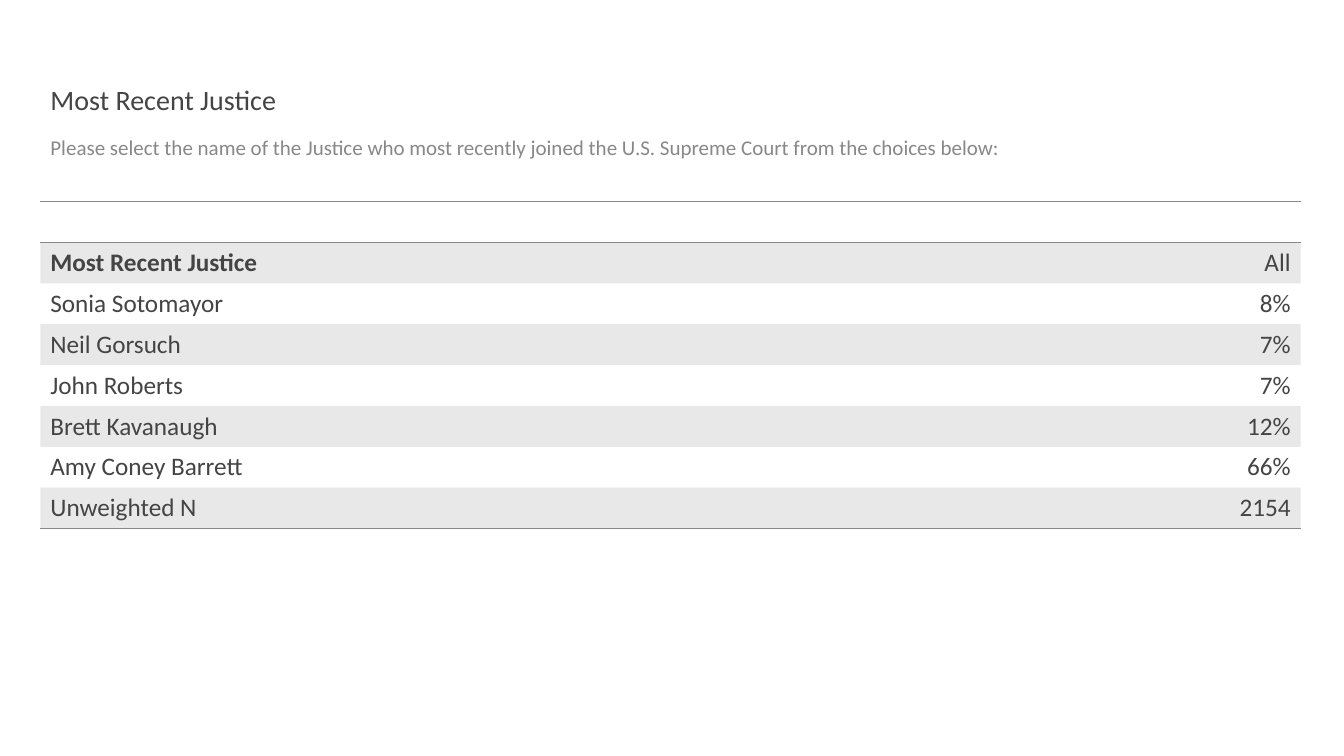
from lxml import etree
from pptx import Presentation
from pptx.dml.color import RGBColor
from pptx.enum.text import MSO_ANCHOR, MSO_AUTO_SIZE, PP_ALIGN
from pptx.oxml.ns import qn
from pptx.util import Inches, Pt

LEFT, RIGHT = PP_ALIGN.LEFT, PP_ALIGN.RIGHT
TOP, MID, LOW = MSO_ANCHOR.TOP, MSO_ANCHOR.MIDDLE, MSO_ANCHOR.BOTTOM
FIXED = MSO_AUTO_SIZE.NONE
DARK, GREY = "444444", "888888"
PLAIN = "{2D5ABB26-0587-4C30-8999-92F81FD0307C}"


def write(frame, text, size=18, color=DARK, bold=False, align=LEFT, space=None):
    para = frame.paragraphs[0]
    para.alignment = align
    para.line_spacing = space
    run = para.add_run()
    run.text = text
    font = run.font
    font.name, font.size, font.bold = "Calibri", Pt(size), bold
    font.color.rgb = RGBColor.from_string(color)
    return para


def rule(cell, sides):
    props = cell._tc.get_or_add_tcPr()
    for place, side in enumerate(sides):
        line = etree.Element(qn(f"a:ln{side}"), w=str(Pt(1)))
        fill = etree.SubElement(line, qn("a:solidFill"))
        etree.SubElement(fill, qn("a:srgbClr"), val=GREY)
        props.insert(place, line)


deck = Presentation()
deck.slide_width, deck.slide_height = Inches(13.33), Inches(7.5)
slide = deck.slides.add_slide(deck.slide_layouts[1])
left, width = Inches(0.4), Inches(12.5)

title, body = slide.shapes.title, slide.placeholders[1]
for box, top, height, anchor in (
    (title, 0.4, 0.81, LOW),
    (body, 1.31, 0.51, TOP),
):
    box.left, box.top = left, Inches(top)
    box.width, box.height = width, Inches(height)
    frame = box.text_frame
    frame.auto_size, frame.word_wrap = FIXED, True
    frame.vertical_anchor = anchor

write(title.text_frame, "Most Recent Justice", size=20, space=0.9)
para = write(
    body.text_frame,
    "Please select the name of the Justice who most recently joined "
    "the U.S. Supreme Court from the choices below:",
    size=15, color=GREY, space=0.9,
)
para.space_before = Pt(10)
props = para._p.get_or_add_pPr()
props.set("marL", "0")
props.set("indent", "0")
etree.SubElement(props, qn("a:buNone"))

rows = [
    ("", ""),
    ("Most Recent Justice", "All"),
    ("Sonia Sotomayor", "8%"),
    ("Neil Gorsuch", "7%"),
    ("John Roberts", "7%"),
    ("Brett Kavanaugh", "12%"),
    ("Amy Coney Barrett", "66%"),
    ("Unweighted N", "2154"),
]
last = len(rows) - 1
grid = slide.shapes.add_table(len(rows), 2, left, Inches(2), width, Inches(3.24))
table = grid.table
table.first_row = table.horz_banding = False
table._tbl.tblPr.find(qn("a:tableStyleId")).text = PLAIN

for r, row in enumerate(rows):
    for c, text in enumerate(row):
        cell = table.cell(r, c)
        cell.vertical_anchor = LOW if r == 1 else MID
        if r % 2:
            cell.fill.solid()
            cell.fill.fore_color.rgb = RGBColor.from_string(DARK)
            tint = cell._tc.tcPr.find(f".//{qn('a:srgbClr')}")
            etree.SubElement(tint, qn("a:alpha"), val="12000")
        else:
            cell.fill.background()
        if text:
            write(cell.text_frame, text, bold=r == 1 and c == 0,
                  align=RIGHT if c else LEFT)
        if r == 0:
            rule(cell, "TB")
        elif r == last:
            rule(cell, "B")

deck.save("out.pptx")
